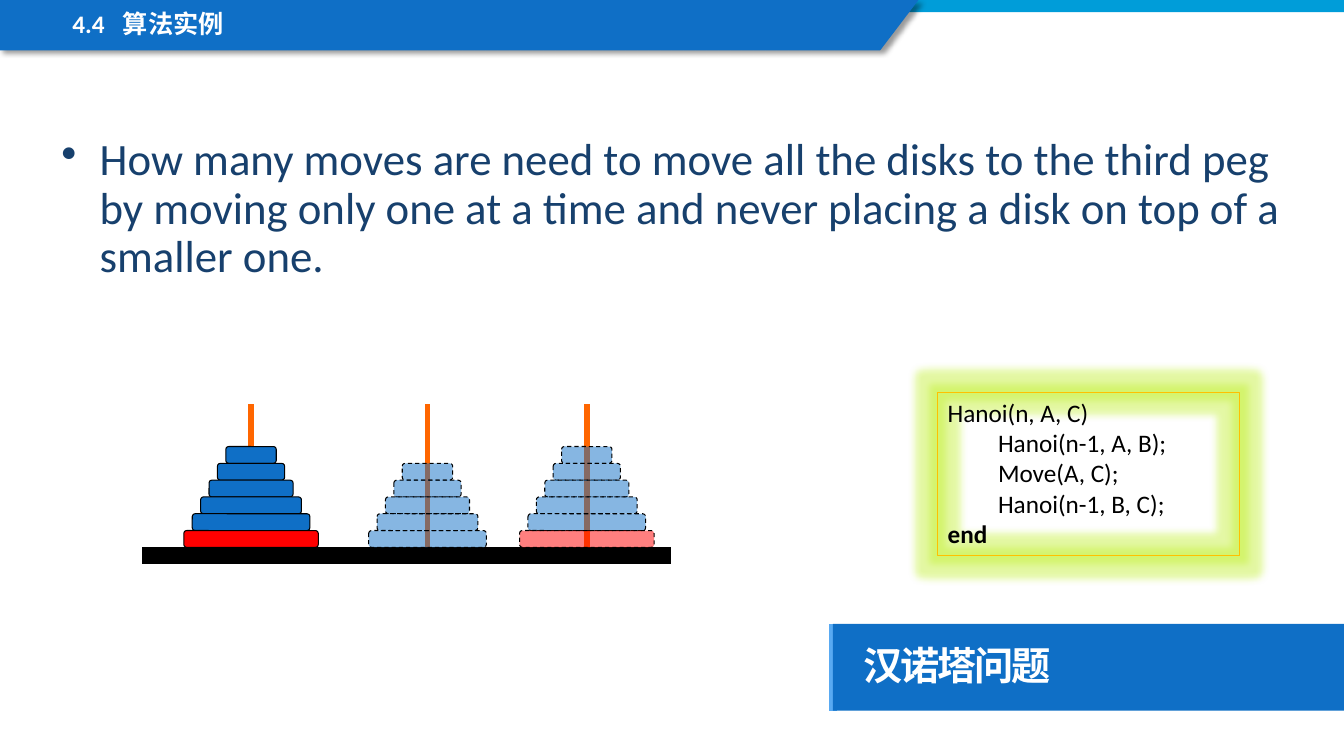
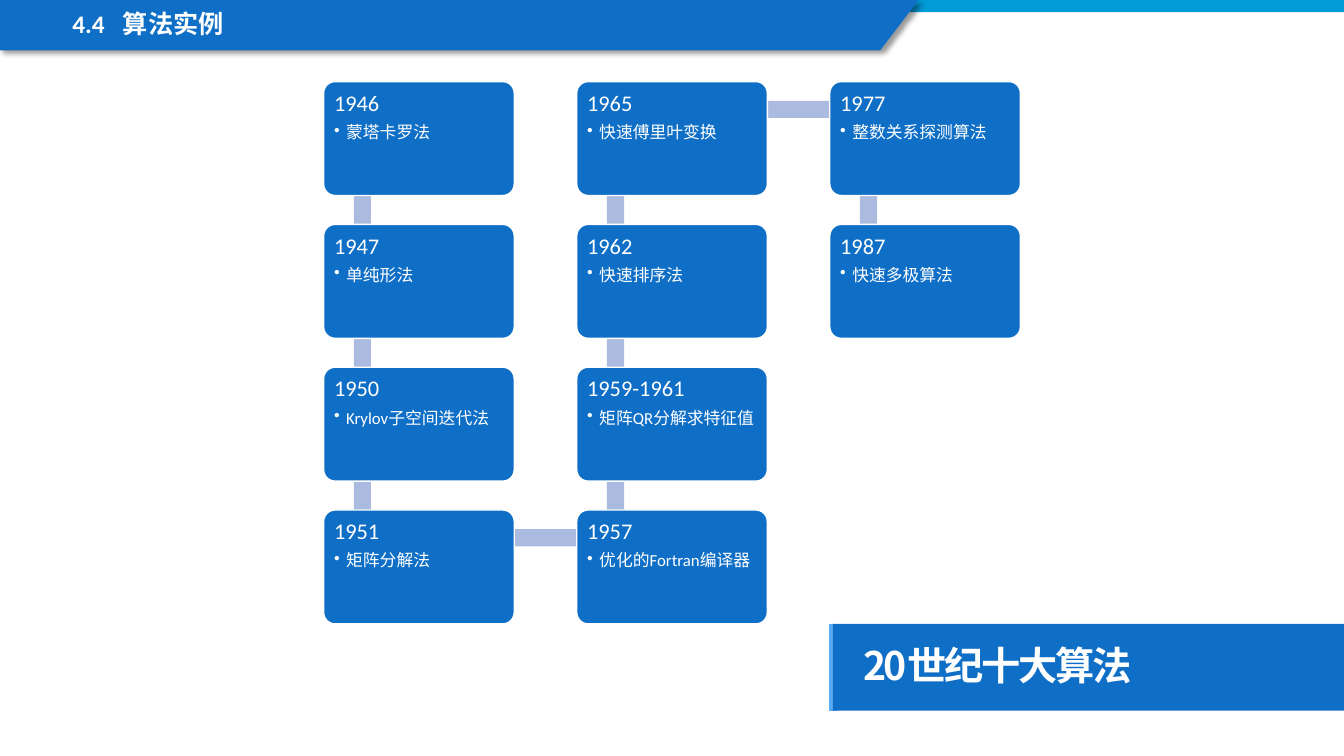
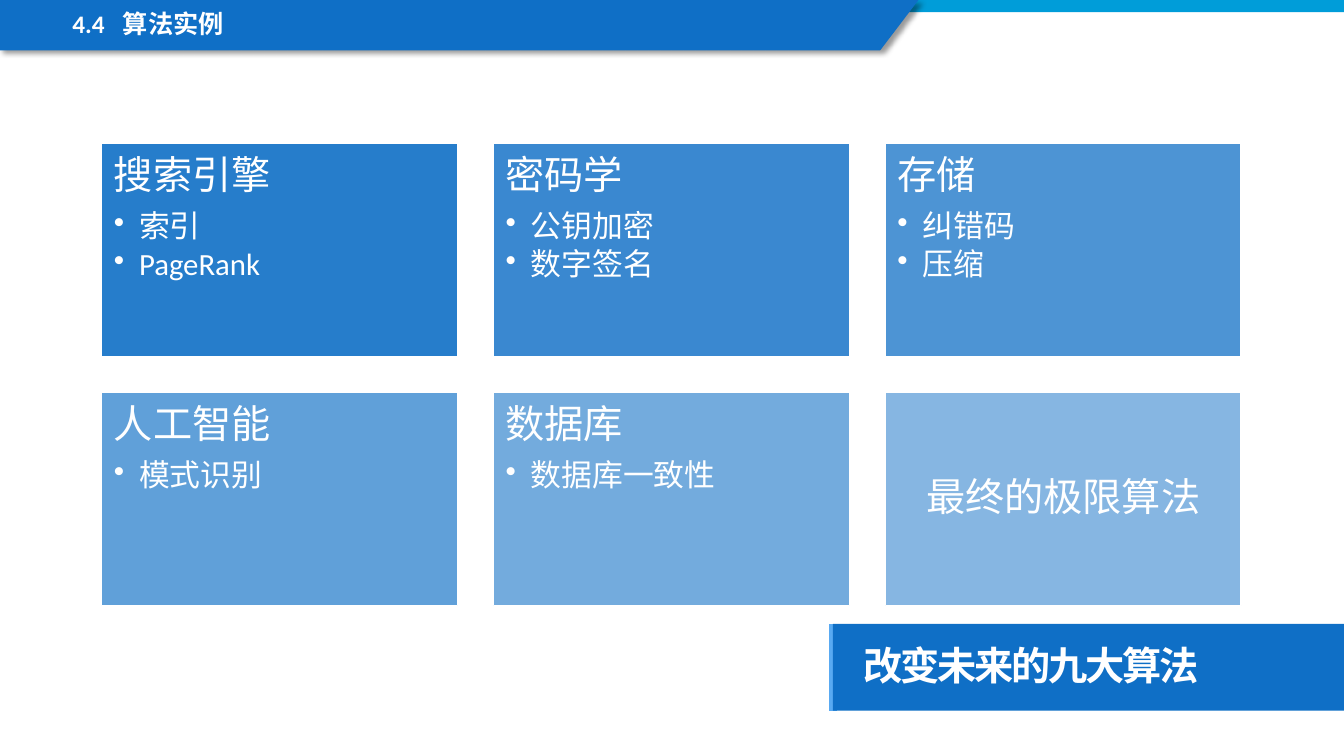
from dataclasses import dataclass
from lxml.etree import SubElement
from pptx import Presentation
from pptx.dml.color import RGBColor
from pptx.enum.dml import MSO_LINE
from pptx.enum.shapes import MSO_CONNECTOR, MSO_SHAPE
from pptx.enum.text import MSO_ANCHOR, MSO_AUTO_SIZE, PP_ALIGN
from pptx.oxml.ns import qn
from pptx.util import Inches, Pt


@dataclass(frozen=True)
class Theme:
    """Colours, fonts and type sizes of the deck."""
    blue: str = "0F6FC6"
    cyan: str = "009DD9"
    edge: str = "59AAF2"
    navy: str = "17406D"
    link: str = "ABBBDF"
    red: str = "FF0000"
    peg: str = "FF6600"
    amber: str = "FFC000"
    glow: str = "BCEF1C"
    white: str = "FFFFFF"
    black: str = "000000"
    font: str = "Calibri"
    title_font: str = "Noto Sans CJK SC"
    title: int = 28
    header: int = 18
    body: int = 32
    code: int = 18
    year: int = 16
    method: int = 12
    topic: int = 28
    detail: int = 22


THEME = Theme()


@dataclass(frozen=True)
class Box:
    """A rectangle in inches."""
    left: float
    top: float
    width: float
    height: float

    def lengths(self):
        """Return the four lengths that python-pptx expects."""
        return [Inches(side) for side in (self.left, self.top, self.width, self.height)]

    def cell(self, column, row, columns, rows, width, height):
        """Return one cell of an evenly spaced grid that fills this box."""
        step_x = (self.width - width) / (columns - 1)
        step_y = (self.height - height) / (rows - 1)
        return Box(self.left + column * step_x, self.top + row * step_y, width, height)


@dataclass(frozen=True)
class Para:
    """One paragraph with its format."""
    text: str
    size: int
    color: str = THEME.white
    font: str = THEME.font
    bold: bool = False
    spacing: float = 0.9
    after: float = 0
    margin: float = 0
    bullet: bool = False
    tab: float = 0
    tracking: float = 0
    align: PP_ALIGN = PP_ALIGN.LEFT


def assign(target, values):
    """Set each attribute named in a dict."""
    for name, value in values.items():
        setattr(target, name, value)


def write(shape, paras, inset=(0.1, 0.05, 0.1, 0.05), anchor=MSO_ANCHOR.TOP):
    """Fill a shape with formatted paragraphs."""
    frame = shape.text_frame
    left, top, right, bottom = map(Inches, inset)
    assign(frame, {"word_wrap": True, "vertical_anchor": anchor,
                   "margin_left": left, "margin_top": top,
                   "margin_right": right, "margin_bottom": bottom})
    for index, para in enumerate(paras):
        line = frame.add_paragraph() if index else frame.paragraphs[0]
        assign(line, {"alignment": para.align, "line_spacing": para.spacing,
                      "space_after": Pt(para.after), "level": 1 if para.margin else 0})
        properties = line._p.get_or_add_pPr()
        properties.set("marL", str(Inches(para.margin)))
        properties.set("indent", str(-Inches(para.margin) if para.bullet else 0))
        if para.bullet:
            SubElement(properties, qn("a:buChar"), char="•")
        if para.tab:
            stops = SubElement(properties, qn("a:tabLst"))
            SubElement(stops, qn("a:tab"), pos=str(Inches(para.tab)), algn="l")
        span = line.add_run()
        span.text = para.text
        assign(span.font, {"size": Pt(para.size), "bold": para.bold, "name": para.font})
        span.font.color.rgb = RGBColor.from_string(para.color)
        SubElement(span.font._element, qn("a:ea"), typeface=para.font)
        if para.tracking:
            span.font._element.set("spc", str(round(para.tracking * 100)))


def paint(shape, fill=None, alpha=100, line=None, weight=0.75, dash=None):
    """Set the fill and outline of a shape and drop its shadow."""
    shape.shadow.inherit = False
    if fill:
        shape.fill.solid()
        shape.fill.fore_color.rgb = RGBColor.from_string(fill)
        if alpha < 100:
            color = shape._element.spPr.find(f".//{qn('a:srgbClr')}")
            SubElement(color, qn("a:alpha"), val=str(alpha * 1000))
    else:
        shape.fill.background()
    if line:
        shape.line.color.rgb = RGBColor.from_string(line)
        assign(shape.line, {"width": Pt(weight), "dash_style": dash})
    else:
        shape.line.fill.background()


def add_block(shapes, box, kind=MSO_SHAPE.RECTANGLE, corner=None, **style):
    """Add a painted preset shape."""
    shape = shapes.add_shape(kind, *box.lengths())
    if corner is not None:
        shape.adjustments[0] = corner
    paint(shape, **style)
    return shape


def add_line(shapes, start, end, color, weight):
    """Add a plain straight line."""
    line = shapes.add_connector(MSO_CONNECTOR.STRAIGHT, *map(Inches, (*start, *end)))
    line.line.color.rgb = RGBColor.from_string(color)
    line.line.width = Pt(weight)
    SubElement(line._element.spPr, qn("a:effectLst"))


def add_effect(shape, kind, color, alpha, **settings):
    """Add a glow or an outer shadow to a painted shape."""
    effects = shape._element.spPr.find(qn("a:effectLst"))
    effect = SubElement(effects, qn(kind), **settings)
    tint = SubElement(effect, qn("a:srgbClr"), val=color)
    SubElement(tint, qn("a:alpha"), val=str(alpha * 1000))


def add_header(page, box):
    """Draw the top band with the section name."""
    shapes = page.shapes
    add_block(shapes, Box(box.left, box.top, box.width, 0.12), fill=THEME.cyan)
    corners = [(9.11, 0), (8.73, box.height), (0, box.height)]
    builder = shapes.build_freeform(Inches(box.left), Inches(box.top))
    builder.add_line_segments([(Inches(box.left + x), Inches(box.top + y)) for x, y in corners])
    band = builder.convert_to_shape()
    paint(band, fill=THEME.blue)
    add_effect(band, "a:outerShdw", THEME.black, 40, blurRad=str(Pt(4)), dist=str(Pt(3)),
               dir=str(45 * 60000), algn="tl", rotWithShape="0")
    section = shapes.add_textbox(*Box(box.left + 0.62, box.top + 0.07, 6.96, 0.38).lengths())
    write(section, [Para("4.4\t算法实例", THEME.header, bold=True, tab=0.49)])


def add_title(page, box, text):
    """Draw the title plate with its light left edge."""
    add_line(page.shapes, (box.left, box.top + box.height), (box.left, box.top), THEME.edge, 6)
    plate = add_block(page.shapes, box, fill=THEME.blue)
    title = Para(text, THEME.title, font=THEME.title_font, bold=True, tracking=-1.5)
    write(plate, [title], (0.3, 0.2, 0.2, 0.2), MSO_ANCHOR.MIDDLE)


def add_page(deck, title):
    """Add a blank page with the shared header and title."""
    page = deck.slides.add_slide(deck.slide_layouts[6])
    add_header(page, Box(0, 0, 13.33, 0.5))
    add_title(page, Box(8.26, 6.19, 5.07, 0.86), title)
    return page


def add_tower(page, center, floor, count, has_base, **style):
    """Stack disks on a floor, widest at the bottom."""
    disks = page.shapes.add_group_shape().shapes
    thickness = 1 / 6
    for index in range(count):
        width = 0.5 + index * thickness
        box = Box(center - width / 2, floor - (count - index) * thickness, width, thickness)
        is_base = has_base and index == count - 1
        add_block(disks, box, MSO_SHAPE.ROUNDED_RECTANGLE, 0.17, line=THEME.black,
                  fill=THEME.red if is_base else THEME.blue, **style)


def add_hanoi(page, box):
    """Draw the ground, three pegs and their towers."""
    floor = box.top + 1.42
    ground = box.top + box.height
    add_line(page.shapes, (box.left, ground), (box.left + box.width, ground), THEME.black, 12)
    ghost = {"alpha": 50, "dash": MSO_LINE.DASH}
    towers = [(1.08, 0.42, 6, True, {}), (2.83, 1.42, 5, False, ghost), (4.41, 1.42, 6, True, ghost)]
    for offset, peg_length, count, has_base, style in towers:
        center = box.left + offset
        add_line(page.shapes, (center, box.top), (center, box.top + peg_length), THEME.peg, 4)
        add_tower(page, center, floor, count, has_base, **style)


def add_code(page, box):
    """Draw the glowing box with the recursive procedure."""
    panel = add_block(page.shapes, box, line=THEME.amber)
    add_effect(panel, "a:glow", THEME.glow, 40, rad=str(Pt(11)))
    lines = [("Hanoi(n, A, C)", 0, False), ("Hanoi(n-1, A, B);", 0.5, False),
             ("Move(A, C);", 0.5, False), ("Hanoi(n-1, B, C);", 0.5, False), ("end", 0, True)]
    write(panel, [Para(text, THEME.code, THEME.black, bold=bold, spacing=1.0, margin=margin)
                  for text, margin, bold in lines])
    panel.text_frame.auto_size = MSO_AUTO_SIZE.SHAPE_TO_FIT_TEXT


def listing(heading, items, heading_size, item_size, margin):
    """Return a heading followed by bulleted items."""
    return [Para(heading, heading_size, after=heading_size * 0.35)] + [
        Para(item, item_size, after=item_size * 0.15, margin=margin, bullet=True)
        for item in items]


def add_timeline(page, box, events):
    """Draw event cards that snake down and up the columns."""
    shapes = page.shapes
    rows = 4
    cards = []
    for index in range(len(events)):
        column, step = divmod(index, rows)
        row = rows - 1 - step if column % 2 else step
        cards.append(box.cell(column, row, 3, rows, 1.89, 1.13))
    for card, following in zip(cards, cards[1:]):
        if card.left == following.left:
            upper = min(card.top, following.top)
            bar = Box(card.left + 0.3, upper + 0.28, 0.17, 1.41)
        else:
            bar = Box(card.left + 0.39, card.top + 0.19, 2.5, 0.17)
        add_block(shapes, bar, fill=THEME.link)
    for card, (year, method) in zip(cards, events):
        shape = add_block(shapes, card, MSO_SHAPE.ROUNDED_RECTANGLE, 0.1,
                          fill=THEME.blue, line=THEME.white, weight=1)
        write(shape, listing(year, [method], THEME.year, THEME.method, 0.12), (0.07,) * 4)


def add_topics(page, box, topics):
    """Draw topic tiles that fade from first to last."""
    for index, (heading, items) in enumerate(topics):
        row, column = divmod(index, 3)
        tile = add_block(page.shapes, box.cell(column, row, 3, 2, 3.53, 2.12), fill=THEME.blue,
                         alpha=90 - 8 * index, line=THEME.white, weight=1)
        if items:
            paras = listing(heading, items, THEME.topic, THEME.detail, 0.25)
            write(tile, paras, (0.12,) * 4)
        else:
            para = Para(heading, THEME.topic, align=PP_ALIGN.CENTER)
            write(tile, [para], (0.12,) * 4, MSO_ANCHOR.MIDDLE)


def main():
    """Build and save the deck."""
    deck = Presentation()
    assign(deck, {"slide_width": Inches(13.33), "slide_height": Inches(7.5)})

    page = add_page(deck, "汉诺塔问题")
    question = page.shapes.add_textbox(*Box(0.51, 1.31, 12.31, 1.57).lengths())
    write(question, [Para(
        "How many moves are need to move all the disks to the third peg by moving only "
        "one at a time and never placing a disk on top of a smaller one.",
        THEME.body, THEME.navy, margin=0.38, bullet=True)])
    add_hanoi(page, Box(1.41, 4.01, 5.25, 1.5))
    add_code(page, Box(9.3, 3.89, 2.99, 1.62))

    page = add_page(deck, "20世纪十大算法")
    add_timeline(page, Box(3.21, 0.81, 6.91, 5.38), [
        ("1946", "蒙塔卡罗法"),
        ("1947", "单纯形法"),
        ("1950", "Krylov子空间迭代法"),
        ("1951", "矩阵分解法"),
        ("1957", "优化的Fortran编译器"),
        ("1959-1961", "矩阵QR分解求特征值"),
        ("1962", "快速排序法"),
        ("1965", "快速傅里叶变换"),
        ("1977", "整数关系探测算法"),
        ("1987", "快速多极算法"),
    ])

    page = add_page(deck, "改变未来的九大算法")
    add_topics(page, Box(1.01, 1.42, 11.3, 4.59), [
        ("搜索引擎", ["索引", "PageRank"]),
        ("密码学", ["公钥加密", "数字签名"]),
        ("存储", ["纠错码", "压缩"]),
        ("人工智能", ["模式识别"]),
        ("数据库", ["数据库一致性"]),
        ("最终的极限算法", []),
    ])
    deck.save("out.pptx")


if __name__ == "__main__":
    main()
